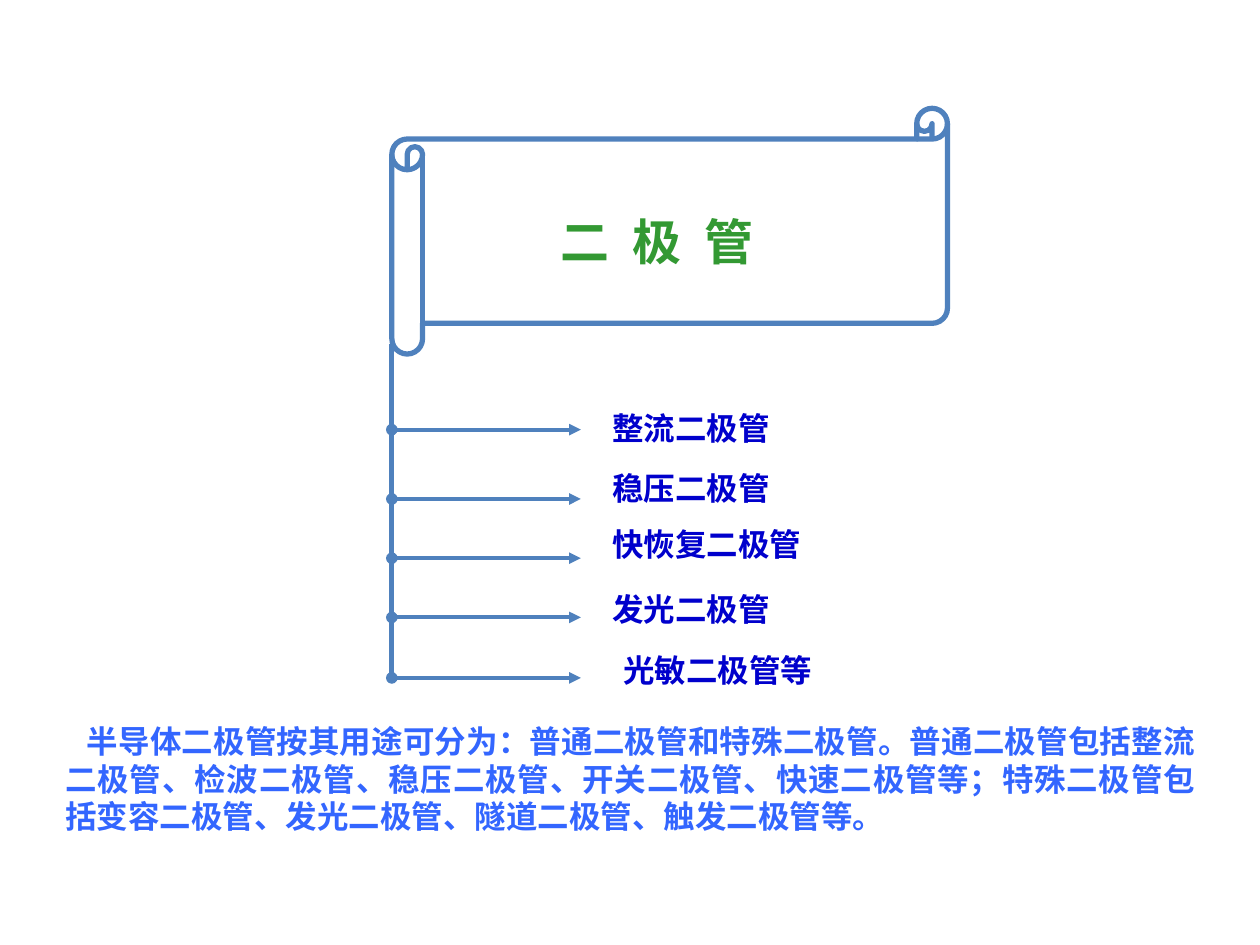
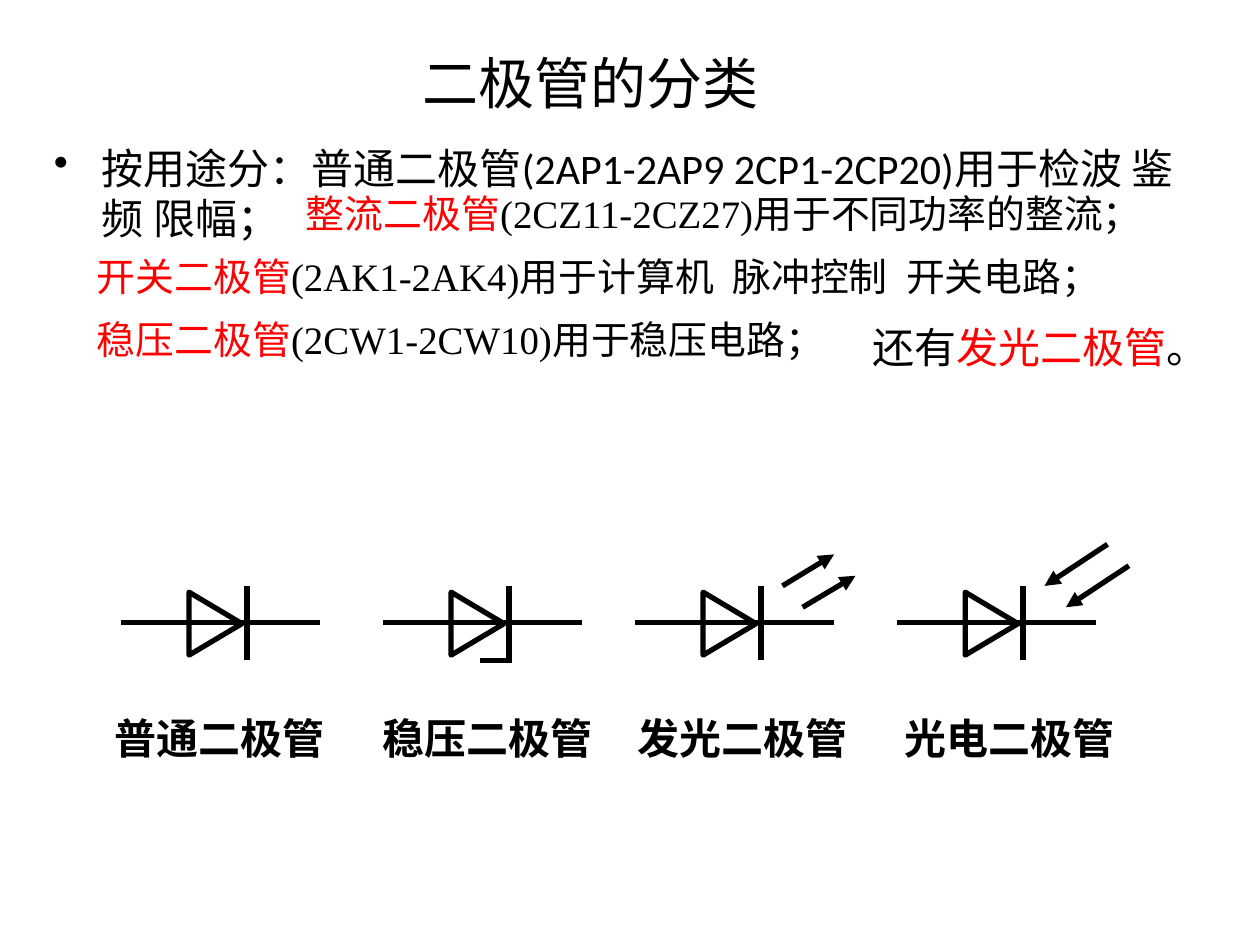
from pptx import Presentation
from pptx.dml.color import RGBColor
from pptx.enum.shapes import MSO_CONNECTOR, MSO_SHAPE
from pptx.enum.text import PP_ALIGN
from pptx.oxml.ns import qn
from pptx.util import Inches, Pt
from lxml.etree import SubElement

COLORS = {
    "black": "000000",
    "red": "FF0000",
    "green": "339933",
    "navy": "0000CC",
    "blue": "3366FF",
    "steel": "4F81BD",
}


def add_text(page, place, spans, size, font="Calibri", bold=False):
    """Add a wrapped one-paragraph box; a span is (text, colour, letter spacing)."""
    box = page.shapes.add_textbox(*[Inches(length) for length in place])
    box.text_frame.word_wrap = True
    para = box.text_frame.paragraphs[0]
    para.font.size = Pt(size)
    para.font.name = font
    para.font.bold = bold
    para.font.color.rgb = RGBColor.from_string(COLORS[spans[0][1]])
    for text, color, *spacing in spans:
        span = para.add_run()
        span.text = text
        if color != spans[0][1]:
            span.font.color.rgb = RGBColor.from_string(COLORS[color])
        if spacing:
            span.font._element.set("spc", str(int(spacing[0] * 100)))
    return para


def add_line(page, start, end, color, width, head=None, tail=None):
    """Add a straight line from start to end, without shadow."""
    line = page.shapes.add_connector(
        MSO_CONNECTOR.STRAIGHT, *[Inches(length) for length in start + end])
    line.line.color.rgb = RGBColor.from_string(COLORS[color])
    line.line.width = Pt(width)
    outline = line.line._get_or_add_ln()
    for tag, kind in (("a:headEnd", head), ("a:tailEnd", tail)):
        if kind:
            SubElement(outline, qn(tag)).set("type", kind)
    SubElement(line._element.spPr, qn("a:effectLst"))


deck = Presentation()
deck.slide_width, deck.slide_height = Inches(10), Inches(7.5)

# Slide 1: scroll with a branch for each kind of diode
page = deck.slides.add_slide(deck.slide_layouts[6])
scroll = page.shapes.add_shape(
    MSO_SHAPE.HORIZONTAL_SCROLL, Inches(3.11), Inches(0.86), Inches(4.41), Inches(1.95))
scroll.shadow.inherit = False
scroll.fill.background()
scroll.line.color.rgb = RGBColor.from_string(COLORS["steel"])
scroll.line.width = Pt(3)
add_text(page, (4.35, 1.63, 2.54, 0.57), [("二 极 管", "green", 3.4)],
         28, "Noto Sans CJK SC", bold=True)

trunk = 3.11
add_line(page, (trunk, 2.73), (trunk, 5.4), "steel", 3)
branches = [
    ("整流二极管", 4.76, 3.2, 3.41),
    ("稳压二极管", 4.76, 3.67, 3.96),
    ("快恢复二极管", 4.76, 4.12, 4.43),
    ("发光二极管", 4.76, 4.63, 4.9),
    ("光敏二极管等", 4.85, 5.12, 5.38),
]
for name, left, top, arrow in branches:
    add_line(page, (trunk, arrow), (trunk + 1.5, arrow), "steel", 2.25, "oval", "triangle")
    add_text(page, (left, top, 2.13, 0.4), [(name, "navy")], 18, bold=True)

summary = add_text(page, (0.42, 5.68, 9.17, 1), [(
    "半导体二极管按其用途可分为：普通二极管和特殊二极管。"
    "普通二极管包括整流二极管、检波二极管、稳压二极管、开关二极管、快速二极管等；"
    "特殊二极管包括变容二极管、发光二极管、隧道二极管、触发二极管等。", "blue")], 18, bold=True)
summary.alignment = PP_ALIGN.JUSTIFY
summary._p.get_or_add_pPr().set("indent", str(Inches(0.17)))

# Slide 2: title
page = deck.slides.add_slide(deck.slide_layouts[5])
title = page.shapes.title
title.left, title.top, title.width, title.height = [
    Inches(length) for length in (3.19, 0.28, 3, 0.75)]
title.text_frame.text = "二极管的分类"
heading = title.text_frame.paragraphs[0]
heading.alignment = PP_ALIGN.CENTER
heading.font.size = Pt(32)
heading.font.name = "Calibri"
heading.font.color.rgb = RGBColor.from_string(COLORS["black"])

# Uses of each kind
general = add_text(page, (0.33, 1.08, 9.33, 0.92), [(
    "按用途分：普通二极管(2AP1-2AP9 2CP1-2CP20)用于检波 鉴频 限幅；", "black")], 24)
properties = general._p.get_or_add_pPr()
properties.set("marL", str(Inches(0.38)))
properties.set("indent", str(-Inches(0.38)))
bullet = SubElement(properties, qn("a:buChar"))
bullet.set("char", "•")
properties.insert(0, bullet)

uses = [
    ((2.33, 1.5, 7.17, 0.5), "整流二极管", [("(2CZ11-2CZ27)用于不同功率的整流；", "black")]),
    ((0.67, 2, 8.83, 0.5), "开关二极管", [
        ("(2AK1-2AK4)用于计算机", "black"), (" ", "black", 5.5),
        ("脉冲控制", "black"), (" ", "black", 5.5), ("开关电路；", "black")]),
    ((0.67, 2.5, 6.25, 0.5), "稳压二极管", [("(2CW1-2CW10)用于稳压电路；", "black")]),
]
for place, name, use in uses:
    para = add_text(page, place, [(name, "red")] + use, 22.2, "Times New Roman")
    para.line_spacing = 0.9
add_text(page, (6.83, 2.5, 2.67, 0.5),
         [("还有", "black"), ("发光二极管", "red"), ("。", "black")], 24, "Times New Roman")

# Circuit symbols with their labels
symbols = [
    ("普通二极管", 0.96, 0.81),
    ("稳压二极管", 3.04, 2.94),
    ("发光二极管", 5.04, 4.96),
    ("光电二极管", 7.12, 7.08),
]
for name, left, label_left in symbols:
    triangle = page.shapes.add_shape(
        MSO_SHAPE.ISOSCELES_TRIANGLE, Inches(left + 0.5), Inches(4.74), Inches(0.5), Inches(0.42))
    triangle.rotation = 90
    triangle.shadow.inherit = False
    triangle.fill.background()
    triangle.line.color.rgb = RGBColor.from_string(COLORS["black"])
    triangle.line.width = Pt(3)
    add_line(page, (left + 1, 4.65), (left + 1, 5.24), "black", 3)
    add_line(page, (left, 4.94), (left + 1.58, 4.94), "black", 3)
    label = add_text(page, (label_left, 5.65, 2.2, 0.46), [(name, "black")], 24, bold=True)
    label.line_spacing = 0.9

# Zener hook, then light leaving and light arriving
add_line(page, (3.81, 5.24), (4.06, 5.24), "black", 3)
rays = [
    ((6.21, 4.65), (6.62, 4.4)),
    ((6.37, 4.82), (6.79, 4.57)),
    ((8.79, 4.32), (8.29, 4.65)),
    ((8.96, 4.49), (8.46, 4.82)),
]
for start, end in rays:
    add_line(page, start, end, "black", 3, tail="triangle")

deck.save("out.pptx")
